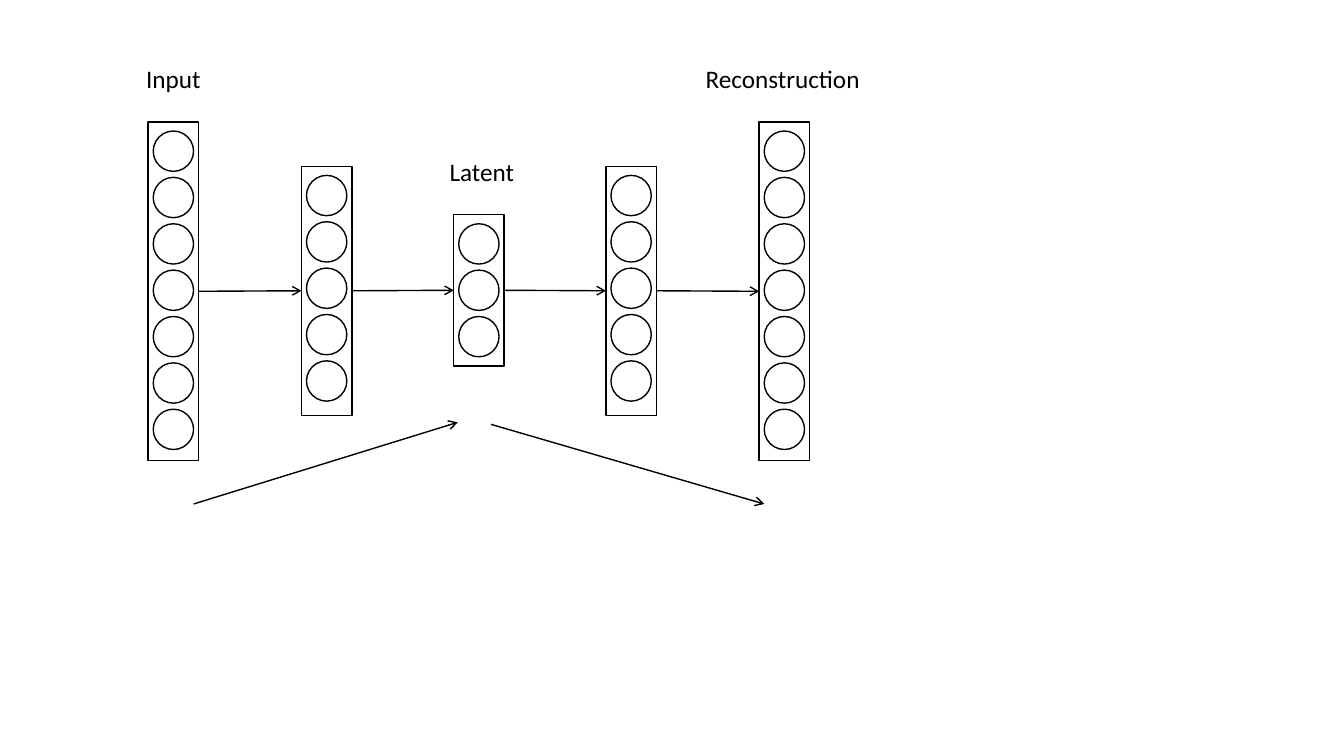
from typing import NamedTuple

from lxml.etree import SubElement
from pptx import Presentation
from pptx.dml.color import RGBColor
from pptx.enum.shapes import MSO_CONNECTOR as Connector, MSO_SHAPE as Preset
from pptx.enum.text import MSO_AUTO_SIZE as AutoSize
from pptx.oxml.ns import qn
from pptx.shapes.autoshape import Shape
from pptx.shapes.connector import Connector as Line
from pptx.shapes.shapetree import GroupShapes
from pptx.util import Emu, Pt

COLOURS = {"ink": "000000"}
LABEL_FONT = {"name": "Calibri", "size": Pt(18), "bold": False}
LABEL_FRAME = {"word_wrap": False, "auto_size": AutoSize.SHAPE_TO_FIT_TEXT}

LAYER_WIDTH = 50
NEURON_SIZE = 40
NEURON_PITCH = 46
NEURON_INSET = 5
NEURON_TOP_GAP = 9
LEFT_SITE, RIGHT_SITE = 1, 3


class Layer(NamedTuple):
    left: int
    top: int
    height: int
    neurons: int


class Label(NamedTuple):
    text: str
    left: int
    top: int
    width: int
    height: int = 40


class Arrow(NamedTuple):
    start_x: int
    start_y: int
    end_x: int
    end_y: int


LAYERS = [
    Layer(147, 121, 336, 7),
    Layer(299, 165, 247, 5),
    Layer(450, 213, 150, 3),
    Layer(601, 165, 247, 5),
    Layer(753, 121, 336, 7),
]
LABELS = [
    Label("Input", 135, 58, 75),
    Label("Latent", 436, 150, 85),
    Label("Reconstruction", 690, 58, 175),
]
STAGE_ARROWS = [Arrow(192, 500, 454, 419), Arrow(487, 421, 758, 500)]


def px(length: int) -> Emu:
    """Convert px, at 100 to the inch, to EMU."""
    return Emu(length * 9144)


def ink() -> RGBColor:
    return RGBColor.from_string(COLOURS["ink"])


def style_line(item: Shape | Line) -> None:
    item.line.color.rgb = ink()
    item.line.width = Pt(1)


def draw_outline(shapes: GroupShapes, preset: Preset, left: int, top: int,
                 width: int, height: int) -> Shape:
    shape = shapes.add_shape(preset, px(left), px(top), px(width), px(height))
    shape.shadow.inherit = False
    shape.fill.background()
    style_line(shape)
    return shape


def draw_layer(shapes: GroupShapes, layer: Layer) -> Shape:
    frame = draw_outline(shapes, Preset.RECTANGLE, layer.left, layer.top,
                         LAYER_WIDTH, layer.height)
    for index in range(layer.neurons):
        top = layer.top + NEURON_TOP_GAP + index * NEURON_PITCH
        draw_outline(shapes, Preset.OVAL, layer.left + NEURON_INSET, top,
                     NEURON_SIZE, NEURON_SIZE)
    return frame


def draw_label(shapes: GroupShapes, label: Label) -> None:
    box = shapes.add_textbox(px(label.left), px(label.top),
                             px(label.width), px(label.height))
    for name, value in LABEL_FRAME.items():
        setattr(box.text_frame, name, value)
    para = box.text_frame.paragraphs[0]
    para.text = label.text
    for name, value in LABEL_FONT.items():
        setattr(para.font, name, value)
    para.font.color.rgb = ink()


def draw_arrow(shapes: GroupShapes, arrow: Arrow) -> Line:
    line = shapes.add_connector(Connector.STRAIGHT, *map(px, arrow))
    style_line(line)
    properties = line.line._get_or_add_ln()
    SubElement(properties, qn("a:tailEnd"), type="arrow")
    SubElement(properties.getparent(), qn("a:effectLst"))
    return line


def link_layers(shapes: GroupShapes, source: Shape, target: Shape) -> None:
    line = draw_arrow(shapes, Arrow(450, 288, 500, 288))
    line.begin_connect(source, RIGHT_SITE)
    line.end_connect(target, LEFT_SITE)


def main() -> None:
    deck = Presentation()
    deck.slide_width, deck.slide_height = px(1333), px(750)
    page = deck.slides.add_slide(deck.slide_layouts[6])
    network = page.shapes.add_group_shape().shapes

    # Layers with their neurons
    frames = [draw_layer(network, layer) for layer in LAYERS]

    # Labels
    for label in LABELS:
        draw_label(network, label)

    # Arrows between neighbouring layers
    for source, target in zip(frames, frames[1:]):
        link_layers(network, source, target)

    # Encoding and decoding arrows
    for arrow in STAGE_ARROWS:
        draw_arrow(network, arrow)

    deck.save("out.pptx")


if __name__ == "__main__":
    main()
